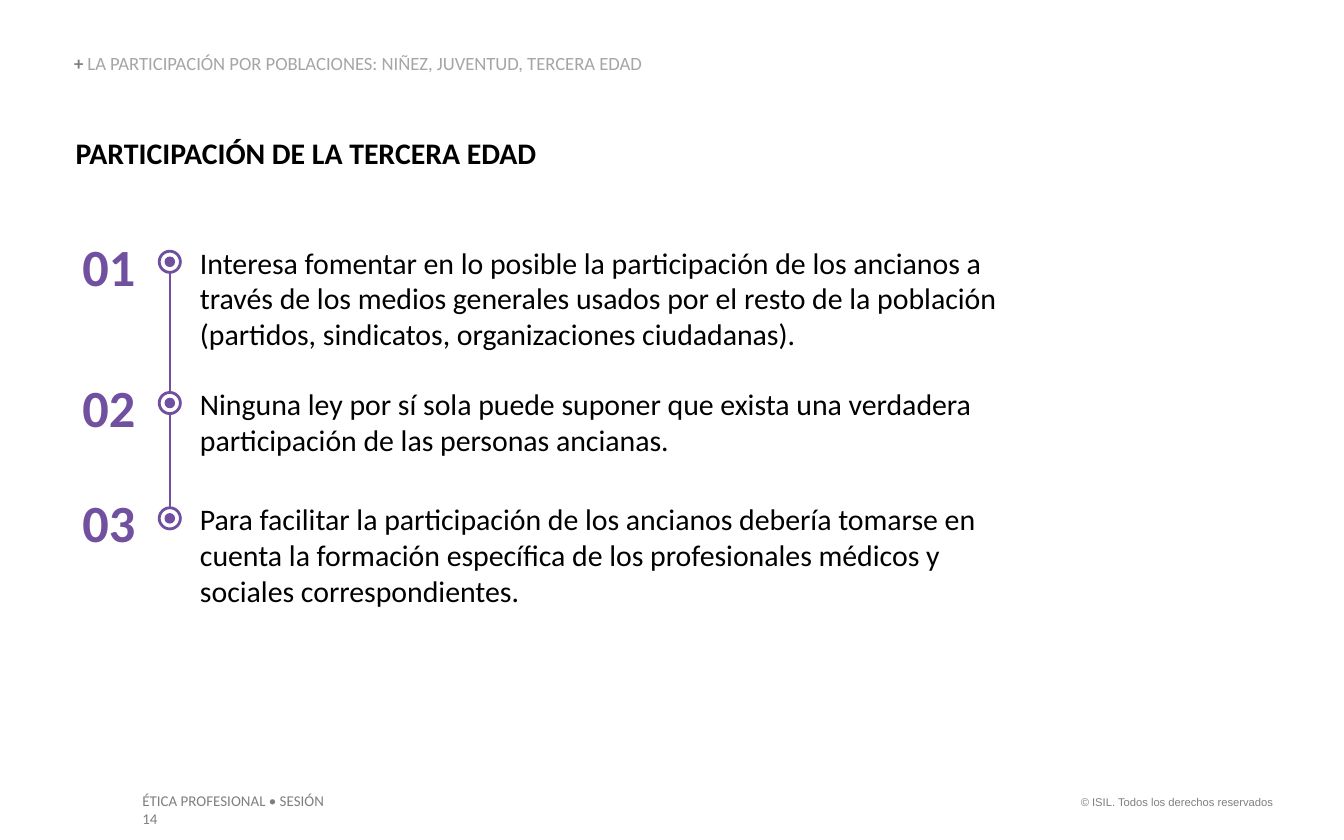
import pptx
import pptx.util
import pptx.dml.color
import pptx.enum.shapes
import pptx.enum.text
import pptx.oxml
import pptx.oxml.ns

Cm, Pt = pptx.util.Cm, pptx.util.Pt
RGB = pptx.dml.color.RGBColor
ALIGN = pptx.enum.text.PP_ALIGN
ANCHOR = pptx.enum.text.MSO_ANCHOR
OVAL = pptx.enum.shapes.MSO_SHAPE.OVAL
LINE = pptx.enum.shapes.MSO_CONNECTOR.STRAIGHT

BLACK = RGB(0x00, 0x00, 0x00)
WHITE = RGB(0xFF, 0xFF, 0xFF)
GRAY = RGB(0x7F, 0x7F, 0x7F)
PALE = RGB(0xA5, 0xA5, 0xA5)
VIOLET = RGB(0x71, 0x50, 0xA0)
RING = RGB(0x71, 0x4F, 0xA0)


class Page:
    def __init__(self, slide, font="Calibri"):
        self.slide = slide
        self.font = font

    def text(self, words, x, y, w, h, size, color=BLACK, bold=False,
             align=ALIGN.LEFT, font=None, pad=(0, 0)):
        frame = self.slide.shapes.add_textbox(Cm(x), Cm(y), Cm(w), Cm(h)).text_frame
        frame.word_wrap = True
        frame.margin_left = frame.margin_right = Cm(pad[0])
        frame.margin_top = frame.margin_bottom = Cm(pad[1])
        para = frame.paragraphs[0]
        para.alignment = align
        para.font.name = font or self.font
        para.font.size = Pt(size)
        para.font.color.rgb = color
        para.font.bold = bold
        para.add_run().text = words
        return frame

    def line(self, x, top, end, color, width):
        link = self.slide.shapes.add_connector(LINE, Cm(x), Cm(top), Cm(x), Cm(end))
        link.line.color.rgb = color
        link.line.width = Pt(width)
        props = link._element.spPr
        props.append(pptx.oxml.parse_xml(
            "<a:effectLst %s/>" % pptx.oxml.ns.nsdecls("a")))

    def disc(self, group, x, y, size, fill, edge=None):
        disc = group.shapes.add_shape(
            OVAL, Cm(x - size / 2), Cm(y - size / 2), Cm(size), Cm(size))
        disc.shadow.inherit = False
        disc.fill.solid()
        disc.fill.fore_color.rgb = fill
        if edge:
            disc.line.color.rgb = edge
            disc.line.width = Pt(1.5)
        else:
            disc.line.fill.background()

    def mark(self, x, y, size):
        group = self.slide.shapes.add_group_shape()
        self.disc(group, x, y, size, WHITE, RING)
        self.disc(group, x, y, size / 2, RING)


ITEMS = [
    (4.62, 2.06, "Interesa fomentar en lo posible la participación de los ancianos a "
     "través de los medios generales usados por el resto de la población "
     "(partidos, sindicatos, organizaciones ciudadanas)."),
    (7.29, 1.37, "Ninguna ley por sí sola puede suponer que exista una verdadera "
     "participación de las personas ancianas."),
    (9.47, 2.06, "Para facilitar la participación de los ancianos debería tomarse en "
     "cuenta la formación específica de los profesionales médicos y "
     "sociales correspondientes."),
]
AXIS, DROP, DOT = 3.21, 0.33, 0.4


def main():
    deck = pptx.Presentation()
    deck.slide_width, deck.slide_height = Cm(25.4), Cm(15.88)
    page = Page(deck.slides.add_slide(deck.slide_layouts[6]))

    # Footer
    page.text("© ISIL. Todos los derechos reservados", 20.02, 14.91, 4.29, 0.51,
              6, GRAY, align=ALIGN.RIGHT, font="Arial", pad=(0.25, 0.13))
    page.text("ÉTICA PROFESIONAL • SESIÓN 14", 2.44, 14.83, 4.2, 0.61,
              8, GRAY, pad=(0.25, 0.13))

    # Title and section header
    page.text("PARTICIPACIÓN DE LA TERCERA EDAD", 1.43, 2.54, 10.8, 0.69,
              16, bold=True)
    head = page.text("+ ", 1.4, 1.04, 13.28, 0.38, 10, GRAY, bold=True)
    head.vertical_anchor = ANCHOR.BOTTOM
    para = head.paragraphs[0]
    para.line_spacing = 0.9
    topic = para.add_run()
    topic.text = "LA PARTICIPACIÓN POR POBLACIONES: NIÑEZ, JUVENTUD, TERCERA EDAD"
    topic.font.bold = False
    topic.font.color.rgb = PALE

    # Timeline
    page.line(AXIS, ITEMS[0][0] + DROP + DOT / 2,
              ITEMS[-1][0] + DROP - DOT / 2, VIOLET, 1)
    for num, (top, tall, words) in enumerate(ITEMS, 1):
        page.text(words, 3.78, top, 15.49, tall, 16)
        page.text(f"{num:02}", 1.5, top - 0.2, 1.12, 1.19, 28, VIOLET,
                  bold=True, align=ALIGN.CENTER)
        page.mark(AXIS, top + DROP, DOT)

    deck.save("out.pptx")


if __name__ == "__main__":
    main()
